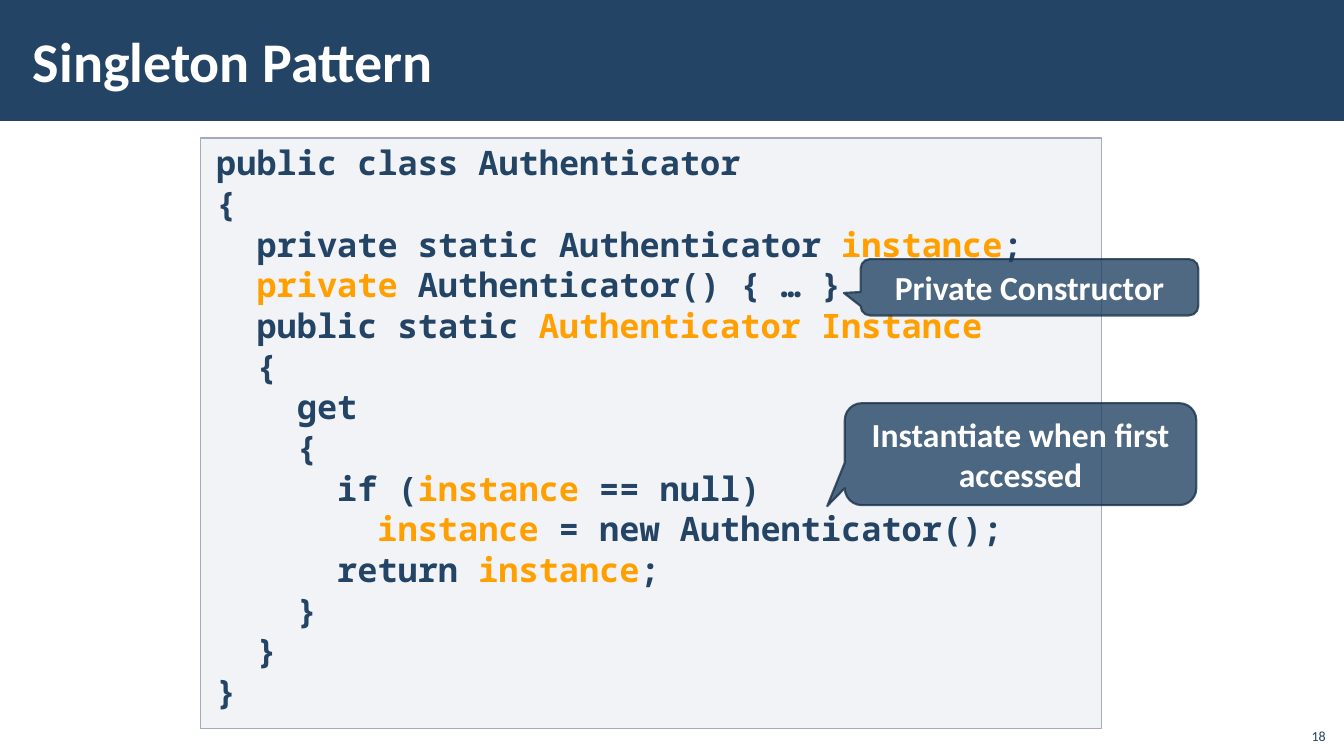
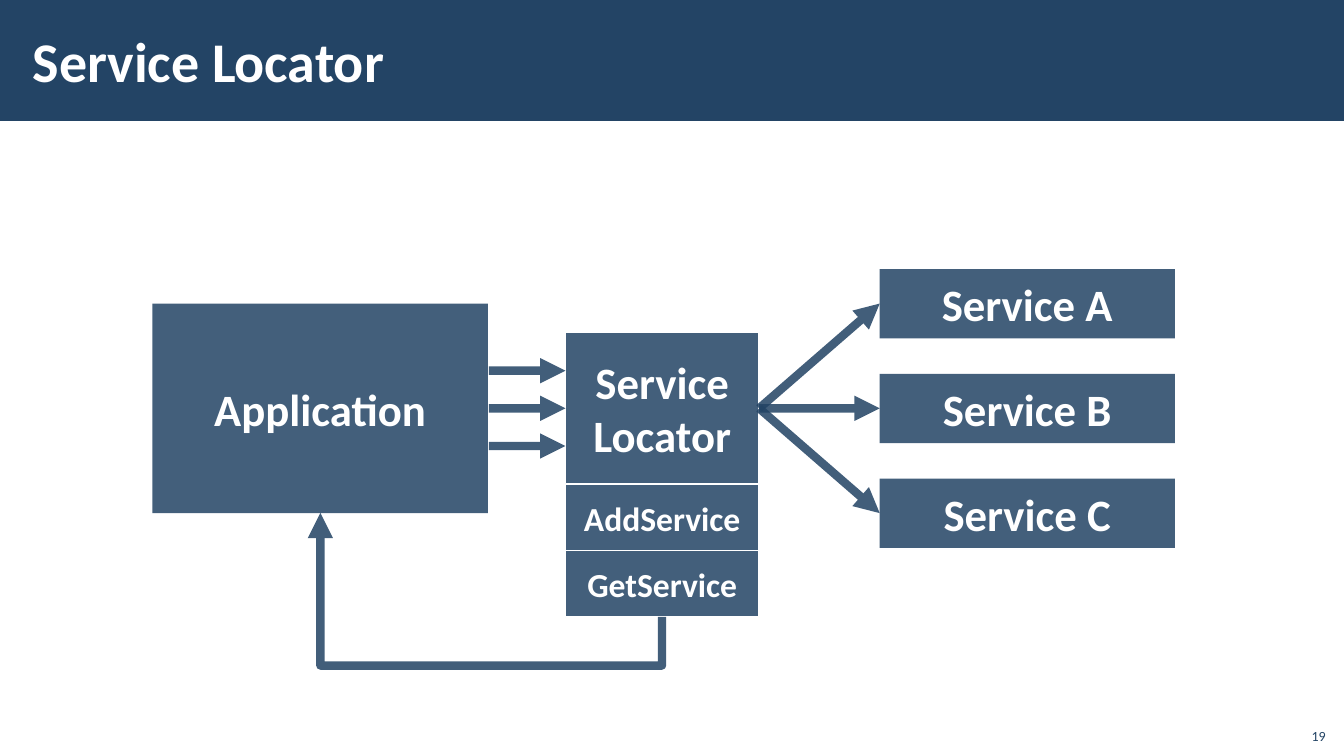
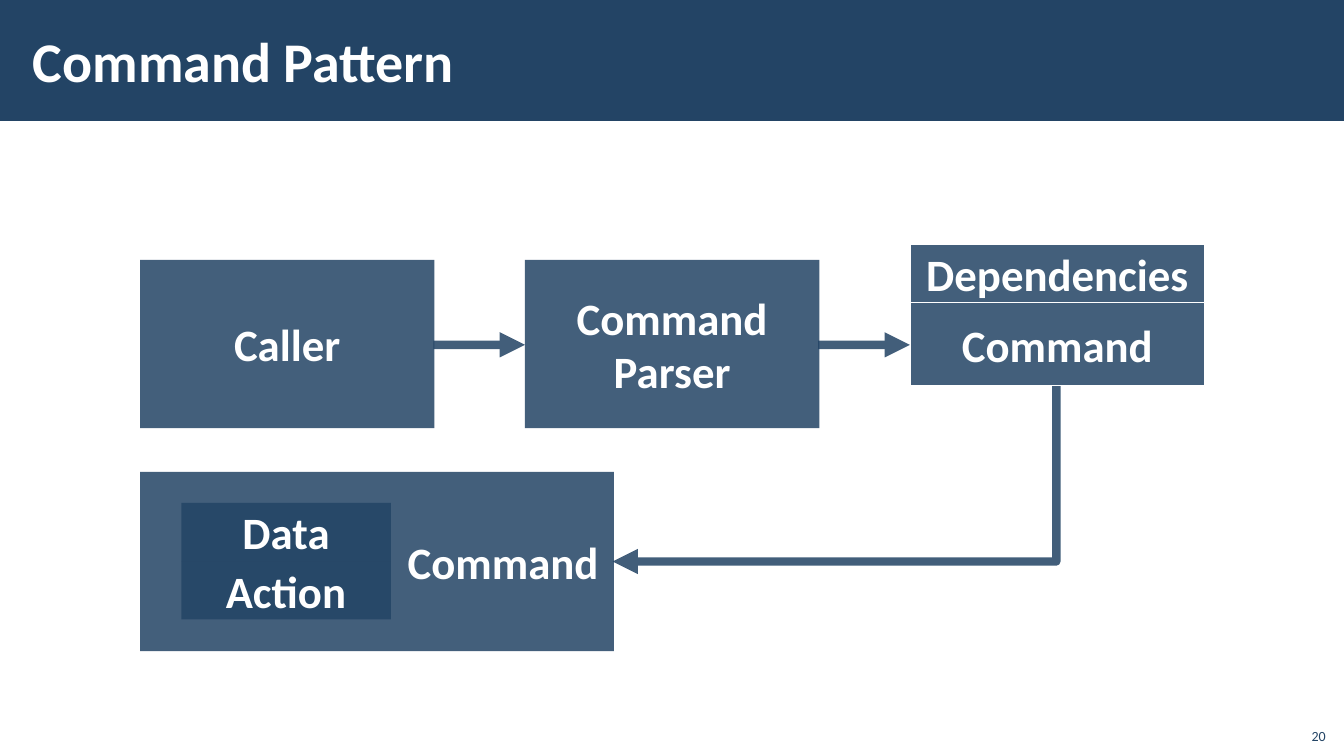
"""Build three slides on the singleton, service locator and command patterns."""
from lxml.etree import SubElement
from pptx import Presentation
from pptx.dml.color import RGBColor
from pptx.enum.shapes import MSO_CONNECTOR as LINK, MSO_SHAPE as SHAPE
from pptx.enum.text import MSO_ANCHOR as ANCHOR, PP_ALIGN as ALIGN
from pptx.oxml.ns import qn
from pptx.util import Cm, Pt

NAVY = RGBColor(0x23, 0x44, 0x65)
DEEP_NAVY = RGBColor(0x1A, 0x33, 0x4C)
ORANGE = RGBColor(0xFF, 0xA0, 0x00)
WHITE = RGBColor(0xFF, 0xFF, 0xFF)
MIST = RGBColor(0xC2, 0xC7, 0xD2)
STEEL = RGBColor(0xA3, 0xAB, 0xBC)
CENTRED = {"word_wrap": True, "vertical_anchor": ANCHOR.MIDDLE}


def fade(properties, percent):
    for color in properties.iter(qn("a:srgbClr")):
        SubElement(color, qn("a:alpha"), val=str(percent * 1000))


def box(slide, place, text="", kind=SHAPE.RECTANGLE, fill=NAVY, opacity=85,
        line=None, width=1, size=32, color=WHITE, bold=True,
        align=ALIGN.CENTER, frame=CENTRED):
    place = [Cm(length) for length in place]
    if fill is None:
        block = slide.shapes.add_textbox(*place)
    else:
        block = slide.shapes.add_shape(kind, *place)
        block.shadow.inherit = False
        block.fill.solid()
        block.fill.fore_color.rgb = fill
        if opacity < 100:
            fade(block.fill._xPr, opacity)
        if line is None:
            block.line.fill.background()
        else:
            block.line.color.rgb = line
            block.line.width = Pt(width)
    for name, value in frame.items():
        setattr(block.text_frame, name, value)
    if text:
        paragraph = block.text_frame.paragraphs[0]
        paragraph.alignment = align
        run = paragraph.add_run()
        run.text = text
        font = {"name": "Calibri", "size": Pt(size), "bold": bold}
        for name, value in font.items():
            setattr(run.font, name, value)
        run.font.color.rgb = color
    return block


deck = Presentation()
deck.slide_width, deck.slide_height = Cm(33.87), Cm(19.05)

TITLE_FRAME = {**CENTRED, "margin_left": Cm(0.3), "margin_right": Cm(0.3)}
NUMBER_FRAME = {"word_wrap": True, "vertical_anchor": ANCHOR.BOTTOM}
pages = []
for number, title in enumerate(
        ["Singleton Pattern", "Service Locator", "Command Pattern"], 18):
    page = deck.slides.add_slide(deck.slide_layouts[6])
    box(page, (0, 0, 33.87, 3.05), opacity=100)
    box(page, (0.53, 0.28, 27, 2.46), title, fill=None, size=40,
        align=ALIGN.LEFT, frame=TITLE_FRAME)
    box(page, (32.64, 18.08, 1.02, 0.81), str(number), fill=None, size=10,
        color=NAVY, bold=False, align=ALIGN.RIGHT, frame=NUMBER_FRAME)
    pages.append(page)
singleton, locator, command = pages

CODE_FRAME = {"word_wrap": True, "vertical_anchor": ANCHOR.TOP,
              "margin_left": Cm(0.4), "margin_right": Cm(0.4),
              "margin_top": Cm(0.3), "margin_bottom": Cm(0.3)}
CODE_FONT = {"name": "Noto Sans Mono", "size": Pt(24), "bold": True}
CODE_SPACING = {"alignment": ALIGN.LEFT, "line_spacing": 0.8,
                "space_before": Pt(6)}
code_lines = [
    (0, "public class Authenticator"),
    (0, "{"),
    (1, "private static Authenticator *instance*;"),
    (1, "*private* Authenticator() { … }"),
    (1, "public static *Authenticator Instance*"),
    (1, "{"),
    (2, "get"),
    (2, "{"),
    (3, "if (*instance* == null)"),
    (4, "*instance* = new Authenticator();"),
    (3, "return *instance*;"),
    (2, "}"),
    (1, "}"),
    (0, "}"),
]
listing = box(singleton, (5.05, 3.48, 22.71, 14.88), fill=MIST, opacity=20,
              line=STEEL, frame=CODE_FRAME).text_frame
for row, (level, code) in enumerate(code_lines):
    paragraph = listing.add_paragraph() if row else listing.paragraphs[0]
    for name, value in CODE_SPACING.items():
        setattr(paragraph, name, value)
    paragraph._p.get_or_add_pPr().set("marL", str(Cm(1.016 * level)))
    for part, words in enumerate(code.split("*")):
        if words:
            run = paragraph.add_run()
            run.text = words
            for name, value in CODE_FONT.items():
                setattr(run.font, name, value)
            run.font.color.rgb = ORANGE if part % 2 else NAVY

for place, remark, pointer in [
        ((21.69, 6.53, 8.51, 1.42), "Private Constructor", (-0.55, 0.1)),
        ((21.29, 10.16, 8.86, 2.57), "Instantiate when first accessed",
         (-0.55, 0.51))]:
    callout = box(singleton, place, remark, SHAPE.ROUNDED_RECTANGULAR_CALLOUT,
                  opacity=80, line=DEEP_NAVY, width=1.5, size=24)
    fade(callout.line._ln, 80)
    callout.adjustments[0], callout.adjustments[1] = pointer

box(locator, (3.84, 7.65, 8.46, 5.28), "Application")
box(locator, (14.25, 8.38, 4.88, 3.81), "Service Locator", line=WHITE)
for row, method in enumerate(["AddService", "GetService"]):
    box(locator, (14.25, 12.21 + 1.66 * row, 4.88, 1.68), method,
        line=WHITE, size=24)
for row, letter in enumerate("ABC"):
    box(locator, (22.17, 6.78 + 2.64 * row, 7.44, 1.75), f"Service {letter}")

box(command, (22.94, 6.15, 7.42, 1.47), "Dependencies", line=WHITE)
box(command, (22.94, 7.62, 7.42, 2.11), "Command", line=WHITE)
for column, step in enumerate(["Caller", "Command Parser"]):
    box(command, (3.53 + 9.7 * column, 6.55, 7.42, 4.24), step)
box(command, (3.53, 11.89, 11.94, 4.52), "Command", align=ALIGN.RIGHT,
    frame={**CENTRED, "margin_right": Cm(0.38)})
for row, content in enumerate(["Data", "Action"]):
    box(command, (4.57, 12.67 + 1.47 * row, 5.28, 1.47), content)

MIDDLE = 10.29
routes = [(command, (x, 8.69, x + 2.31, 8.69), None) for x in (10.92, 20.62)]
for side in (-1, 0, 1):
    request = MIDDLE + 0.95 * side
    routes += [
        (locator, (12.32, request, 14.25, request), None),
        (locator, (19.13, MIDDLE, 22.17, MIDDLE + 2.64 * side), None),
    ]
routes += [
    (locator, (11.07, 9.93, 13.69, 18.54),
     ("bentConnector3", {"rot": "5400000", "flipH": "1"}, -46800)),
    (command, (18.82, 6.35, 23.24, 17.53),
     ("bentConnector2", {"rot": "5400000"}, None)),
]
for page, ends, bend in routes:
    arrow = page.shapes.add_connector(
        LINK.ELBOW if bend else LINK.STRAIGHT, *[Cm(end) for end in ends])
    arrow.line.color.rgb = NAVY
    arrow.line.width = Pt(6)
    fade(arrow.line._ln, 85)
    SubElement(arrow.line._ln, qn("a:tailEnd"), type="triangle")
    properties = arrow._element.spPr
    SubElement(properties, qn("a:effectLst"))
    if bend:
        preset, turn, offset = bend
        for name, value in turn.items():
            properties.find(qn("a:xfrm")).set(name, value)
        geometry = properties.find(qn("a:prstGeom"))
        geometry.set("prst", preset)
        if offset is not None:
            SubElement(geometry.find(qn("a:avLst")), qn("a:gd"),
                       name="adj1", fmla=f"val {offset}")

deck.save("out.pptx")
